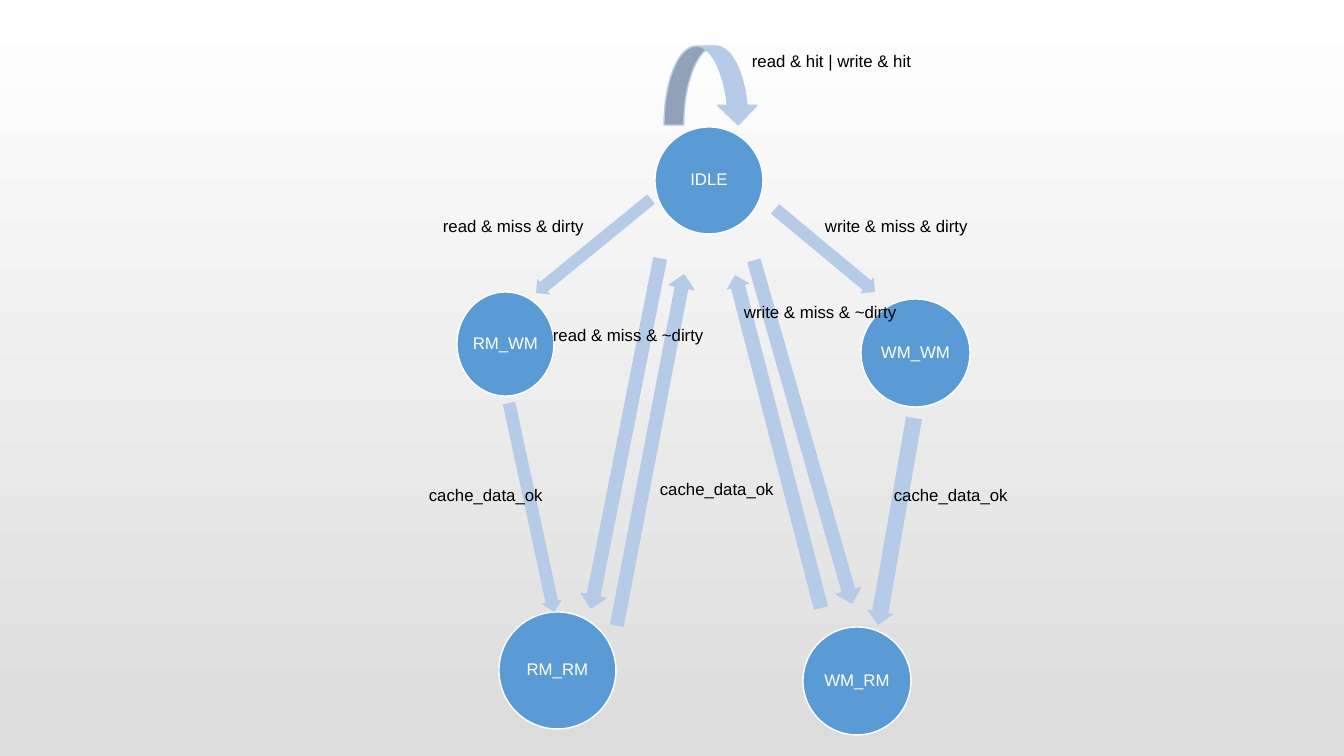
import math
import pptx
import pptx.util
import pptx.dml.color
import pptx.enum.shapes
import pptx.enum.text

SCALE = 914400 / 100.8
FONT = "Arial"
SIZE = 12
COLORS = {"state": "5B9BD5", "arrow": "B5CBE7", "light": "FFFFFF",
          "text": "000000", "top": "FFFFFF", "bottom": "DCDCDC"}
SHAPES = pptx.enum.shapes.MSO_SHAPE

STATES = [
    ("IDLE", 655, 127, 108, 107),
    ("WM_WM", 861, 299, 109, 108),
    ("WM_RM", 803, 627, 108, 108),
    ("RM_RM", 499, 612, 117, 117),
    ("RM_WM", 457, 292, 97, 104),
]
SLIM_ARROWS = [
    ((775, 209), (875, 292), 21),
    ((914, 418), (878, 625), 27),
    ((821, 608), (735, 275), 24),
    ((509, 403), (554, 612), 21),
    ((651, 199), (536, 293), 20),
]
OUTLINED_ARROWS = [
    ((617, 625), (684, 275), 25),
    ((660, 259), (591, 608), 25),
    ((754, 261), (852, 603), 25),
]
LABELS = [
    ("cache_data_ok", 419, 480, 135),
    ("cache_data_ok", 884, 480, 135),
    ("read & miss & dirty", 433, 211, 162),
    ("read & hit | write & hit", 742, 46, 181),
    ("cache_data_ok", 650, 474, 135),
    ("read & miss & ~dirty", 543, 320, 172),
    ("write & miss & dirty", 815, 211, 164),
    ("write & miss & ~dirty", 734, 297, 174),
]


def emu(pixels):
    return pptx.util.Emu(round(pixels * SCALE))


def color(name):
    return pptx.dml.color.RGBColor.from_string(COLORS[name])


def add_run(para, text, color_name):
    span = para.add_run()
    span.text = text
    span.font.name = FONT
    span.font.size = pptx.util.Pt(SIZE)
    span.font.color.rgb = color(color_name)


def add_figure(page, kind, left, top, width, height, fill, line=None):
    shape = page.shapes.add_shape(kind, emu(left), emu(top), emu(width), emu(height))
    shape.shadow.inherit = False
    shape.fill.solid()
    shape.fill.fore_color.rgb = color(fill)
    if line:
        shape.line.color.rgb = color(line)
        shape.line.width = pptx.util.Pt(1)
    else:
        shape.line.fill.background()
    return shape


def add_state(page, name, left, top, width, height):
    circle = add_figure(page, SHAPES.OVAL, left, top, width, height, "state", "light")
    frame = circle.text_frame
    frame.word_wrap = False
    frame.vertical_anchor = pptx.enum.text.MSO_ANCHOR.MIDDLE
    frame.margin_left = frame.margin_right = emu(2)
    frame.margin_top = frame.margin_bottom = emu(2)
    para = frame.paragraphs[0]
    para.alignment = pptx.enum.text.PP_ALIGN.CENTER
    para.line_spacing = 0.9
    add_run(para, name, "light")


def add_arrow(page, tail, tip, thickness, line=None):
    across, down = tip[0] - tail[0], tip[1] - tail[1]
    length = math.hypot(across, down)
    left = (tail[0] + tip[0] - length) / 2
    top = (tail[1] + tip[1] - thickness) / 2
    arrow = add_figure(page, SHAPES.RIGHT_ARROW, left, top, length, thickness, "arrow", line)
    arrow.rotation = math.degrees(math.atan2(down, across)) % 360
    arrow.adjustments[0] = 0.5 if line else 0.6
    arrow.adjustments[1] = 0.5


def add_label(page, text, left, top, width):
    label = page.shapes.add_textbox(emu(left), emu(top), emu(width), emu(30))
    label.text_frame.word_wrap = False
    label.text_frame.auto_size = pptx.enum.text.MSO_AUTO_SIZE.SHAPE_TO_FIT_TEXT
    add_run(label.text_frame.paragraphs[0], text, "text")


def build_background(page):
    fill = page.background.fill
    fill.gradient()
    fill.gradient_angle = 270
    for stop, name in zip(fill.gradient_stops, ("top", "bottom")):
        stop.color.rgb = color(name)


def build_state_diagram(page, box):
    x, y = box

    def moved(point):
        return x + point[0], y + point[1]

    for name, left, top, width, height in STATES:
        add_state(page, name, x + left, y + top, width, height)
    for arrows, line in ((SLIM_ARROWS, None), (OUTLINED_ARROWS, "arrow")):
        for tail, tip, thickness in arrows:
            add_arrow(page, moved(tail), moved(tip), thickness, line)
    for text, left, top, width in LABELS:
        add_label(page, text, x + left, y + top, width)
    add_figure(page, SHAPES.CURVED_DOWN_ARROW, x + 664, y + 46, 94, 79, "arrow", "arrow")


deck = pptx.Presentation()
deck.slide_width = emu(1344)
deck.slide_height = emu(756)
page = deck.slides.add_slide(deck.slide_layouts[6])
build_background(page)
build_state_diagram(page, (0, 0))
deck.save("out.pptx")
